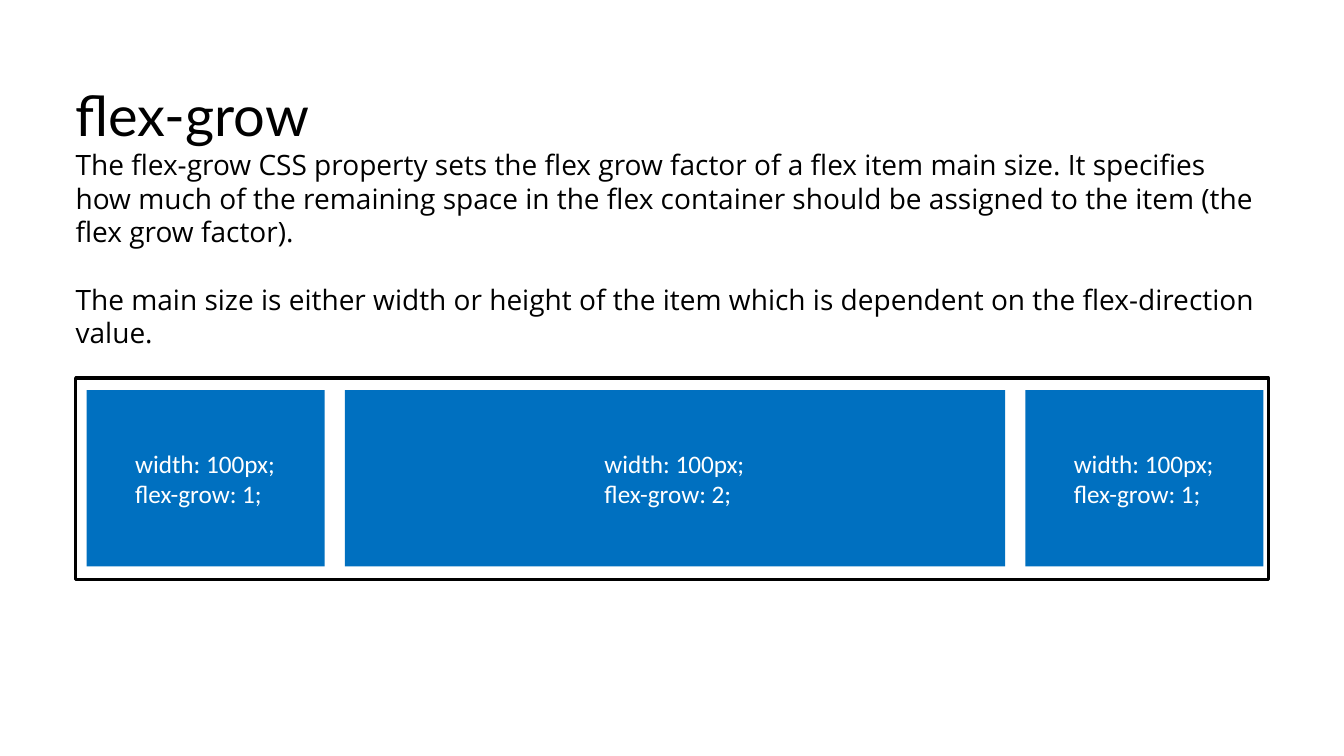
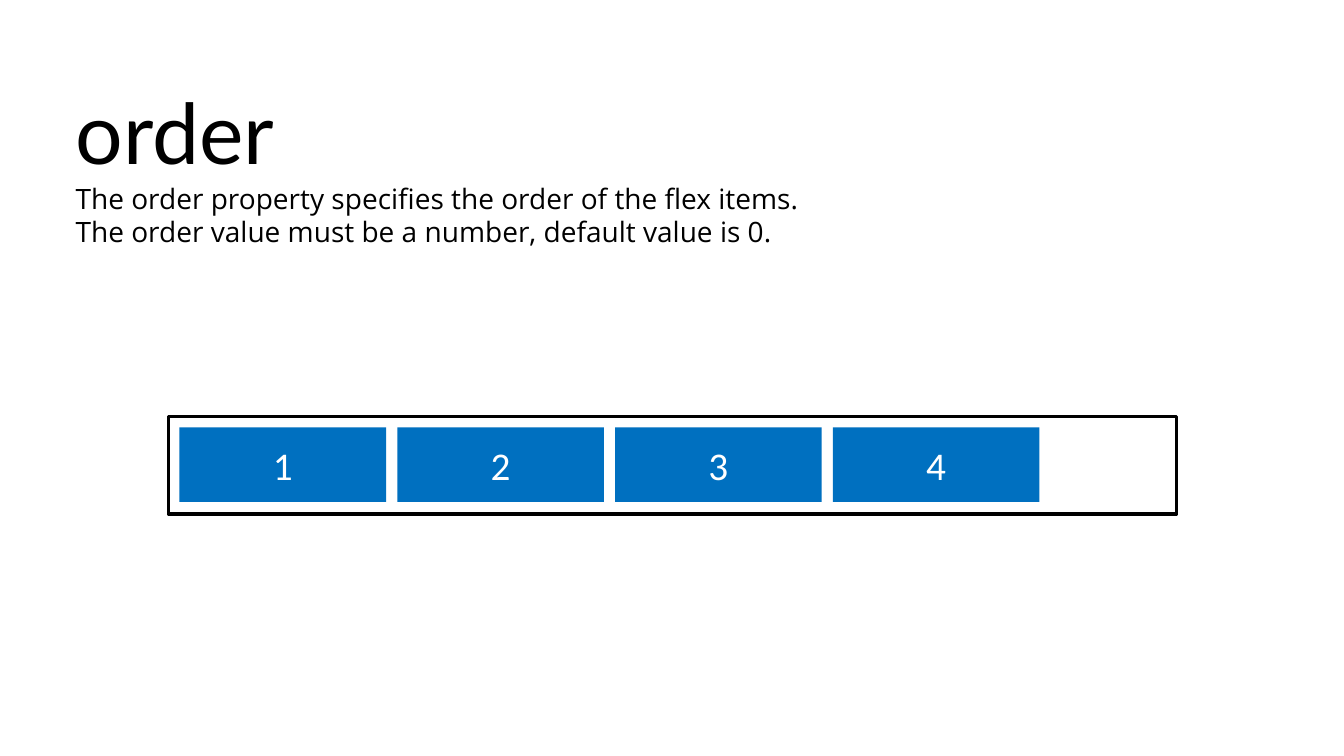
from dataclasses import dataclass

from pptx import Presentation
from pptx.dml.color import RGBColor
from pptx.enum.shapes import MSO_SHAPE as Shape
from pptx.enum.text import MSO_ANCHOR as Anchor, PP_ALIGN as Align
from pptx.util import Inches, Pt


@dataclass(frozen=True)
class Theme:
    ink: RGBColor = RGBColor(0x00, 0x00, 0x00)
    block: RGBColor = RGBColor(0x00, 0x70, 0xC0)
    label: RGBColor = RGBColor(0xFF, 0xFF, 0xFF)
    title_font: str = "Lato"
    body_font: str = "Open Sans"
    label_font: str = "Calibri"
    body_size: int = 20
    body_leading: int = 24
    frame_width: float = 2.25


class Deck:
    """Holds the theme, the presentation and the slide being drawn."""

    def __init__(self, theme):
        self.theme = theme
        self.presentation = Presentation()
        self.presentation.slide_width = Inches(13.33)
        self.presentation.slide_height = Inches(7.5)
        self.slide = None

    def new_slide(self):
        blank = self.presentation.slide_layouts[6]
        self.slide = self.presentation.slides.add_slide(blank)

    def set_up_frame(self, text_frame, anchor, left=0, right=0):
        values = {
            "word_wrap": True,
            "vertical_anchor": anchor,
            "margin_left": Inches(left),
            "margin_right": Inches(right),
            "margin_top": Inches(0.05),
            "margin_bottom": Inches(0.05),
        }
        for name, value in values.items():
            setattr(text_frame, name, value)

    def add_lines(self, text_frame, lines, font, size, color, **paragraph_format):
        """Add each line as a paragraph, reusing the empty first one."""
        for line in lines:
            paragraph = text_frame.paragraphs[-1]
            if paragraph.runs:
                paragraph = text_frame.add_paragraph()
            for name, value in paragraph_format.items():
                setattr(paragraph, name, value)
            run = paragraph.add_run()
            run.text = line
            run.font.name = font
            run.font.size = Pt(size)
            run.font.color.rgb = color

    def heading(self, title, title_size, sections):
        """Put the title and its sections, set one blank line apart, in one box."""
        theme = self.theme
        box = self.slide.shapes.add_textbox(
            Inches(0.75), Inches(0.75), Inches(11.83), Inches(5.25))
        text_frame = box.text_frame
        self.set_up_frame(text_frame, Anchor.TOP, right=0.1)
        self.add_lines(text_frame, [title], theme.title_font, title_size, theme.ink)
        leading = Pt(theme.body_leading)
        for index, lines in enumerate(sections):
            first = len(text_frame.paragraphs)
            self.add_lines(text_frame, lines, theme.body_font, theme.body_size,
                           theme.ink, line_spacing=leading)
            if index:
                text_frame.paragraphs[first].space_before = leading

    def rectangle(self, left, top, width, height):
        shape = self.slide.shapes.add_shape(
            Shape.RECTANGLE, *map(Inches, (left, top, width, height)))
        shape.shadow.inherit = False
        return shape

    def container(self, left, top, width, height):
        shape = self.rectangle(left, top, width, height)
        shape.fill.background()
        shape.line.color.rgb = self.theme.ink
        shape.line.width = Pt(self.theme.frame_width)

    def block(self, left, top, width, height, lines, size, text_width=None):
        """Draw an item; a text_width gives a centred column of left-aligned lines."""
        shape = self.rectangle(left, top, width, height)
        shape.fill.solid()
        shape.fill.fore_color.rgb = self.theme.block
        shape.line.fill.background()
        inset = (width - text_width) / 2 if text_width else 0
        self.set_up_frame(shape.text_frame, Anchor.MIDDLE, left=inset)
        self.add_lines(shape.text_frame, lines, self.theme.label_font, size,
                       self.theme.label,
                       alignment=Align.LEFT if text_width else Align.CENTER)

    def row(self, left, top, height, gap, items, size, text_width=None):
        """Lay out (width, lines) items from left to right with equal gaps."""
        for width, lines in items:
            self.block(left, top, width, height, lines, size, text_width)
            left += width + gap


def flex_grow_slide(deck):
    deck.new_slide()
    deck.heading("flex-grow", 40, [
        ["The flex-grow CSS property sets the flex grow factor of a flex item "
         "main size. It specifies how much of the remaining space in the flex "
         "container should be assigned to the item (the flex grow factor)."],
        ["The main size is either width or height of the item which is "
         "dependent on the flex-direction value."],
    ])
    deck.container(0.75, 3.75, 11.83, 2)
    items = [(width, ["width: 100px;", f"flex-grow: {grow};"])
             for width, grow in ((2.36, 1), (6.55, 2), (2.36, 1))]
    deck.row(0.86, 3.87, 1.75, 0.2, items, size=18, text_width=1.4)


def order_slide(deck):
    deck.new_slide()
    deck.heading("order", 60, [
        ["The order property specifies the order of the flex items.",
         "The order value must be a number, default value is 0."],
    ])
    deck.container(1.67, 4.13, 10, 0.97)
    items = [(2.05, [str(number)]) for number in range(1, 5)]
    deck.row(1.78, 4.24, 0.74, 0.11, items, size=28)


def main():
    deck = Deck(Theme())
    flex_grow_slide(deck)
    order_slide(deck)
    deck.presentation.save("out.pptx")


if __name__ == "__main__":
    main()
